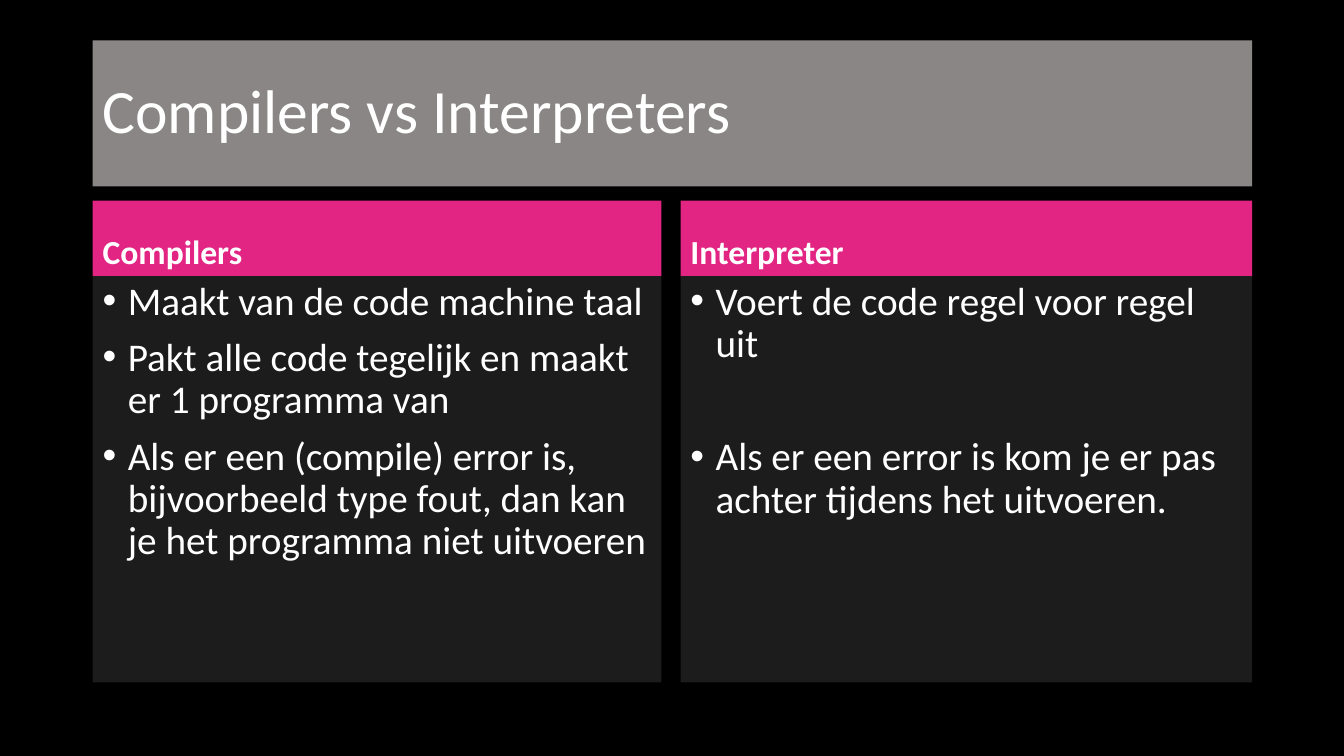
"""Build a slide that compares compilers with interpreters."""
from lxml import etree
from pptx import Presentation
from pptx import util as u
from pptx.dml.color import RGBColor
from pptx.enum import shapes, text
from pptx.oxml.ns import qn

BLACK = RGBColor(0x00, 0x00, 0x00)
WHITE = RGBColor(0xFF, 0xFF, 0xFF)
GREY = RGBColor(0x8A, 0x86, 0x86)
PINK = RGBColor(0xE2, 0x24, 0x83)
CHARCOAL = RGBColor(0x1D, 0x1C, 0x1C)

LEFT = 0.92
HEADING_TOP, HEADING_HEIGHT = 1.99, 0.75
BODY_TOP, BODY_HEIGHT = HEADING_TOP + HEADING_HEIGHT, 4.03
GAP = 10
WIDE_GAP = 50.7

COLUMNS = [
    (LEFT, 5.64, "Compilers", [
        ("Maakt van de code machine taal", GAP),
        ("Pakt alle code tegelijk en maakt er 1 programma van", GAP),
        ("Als er een (compile) error is, bijvoorbeeld type fout, "
         "dan kan je het programma niet uitvoeren", GAP),
    ]),
    (6.75, 5.67, "Interpreter", [
        ("Voert de code regel voor regel uit", GAP),
        ("Als er een error is kom je er pas achter tijdens het uitvoeren.", WIDE_GAP),
    ]),
]

deck = Presentation()
deck.slide_width, deck.slide_height = u.Inches(13.33), u.Inches(7.5)
page = deck.slides.add_slide(deck.slide_layouts[6])
page.background.fill.solid()
page.background.fill.fore_color.rgb = BLACK


def add_panel(left, top, width, height, color, anchor):
    panel = page.shapes.add_shape(
        shapes.MSO_SHAPE.RECTANGLE,
        u.Inches(left), u.Inches(top), u.Inches(width), u.Inches(height))
    panel.shadow.inherit = False
    panel.fill.solid()
    panel.fill.fore_color.rgb = color
    panel.line.fill.background()
    panel.text_frame.word_wrap = True
    panel.text_frame.vertical_anchor = anchor
    return panel.text_frame


def write(para, words, size, space_before=0, bold=False):
    para.text = words
    para.alignment = text.PP_ALIGN.LEFT
    para.line_spacing = 0.9
    para.space_before = u.Pt(space_before)
    para.font.name = "Calibri"
    para.font.size = u.Pt(size)
    para.font.bold = bold
    para.font.color.rgb = WHITE


title = add_panel(LEFT, 0.4, 11.5, 1.45, GREY, text.MSO_ANCHOR.MIDDLE)
write(title.paragraphs[0], "Compilers vs Interpreters", 44)

for left, width, heading, points in COLUMNS:
    header = add_panel(left, HEADING_TOP, width, HEADING_HEIGHT, PINK, text.MSO_ANCHOR.BOTTOM)
    write(header.paragraphs[0], heading, 24, GAP, bold=True)

    body = add_panel(left, BODY_TOP, width, BODY_HEIGHT, CHARCOAL, text.MSO_ANCHOR.TOP)
    for index, (point, space_before) in enumerate(points):
        para = body.add_paragraph() if index else body.paragraphs[0]
        write(para, point, 28, space_before)
        properties = para._p.get_or_add_pPr()
        properties.set("marL", str(u.Inches(0.25)))
        properties.set("indent", str(u.Inches(-0.25)))
        bullet_font = etree.Element(qn("a:buFont"), typeface="Arial")
        bullet = etree.Element(qn("a:buChar"), char="•")
        properties.find(qn("a:defRPr")).addprevious(bullet_font)
        bullet_font.addnext(bullet)

deck.save("out.pptx")
